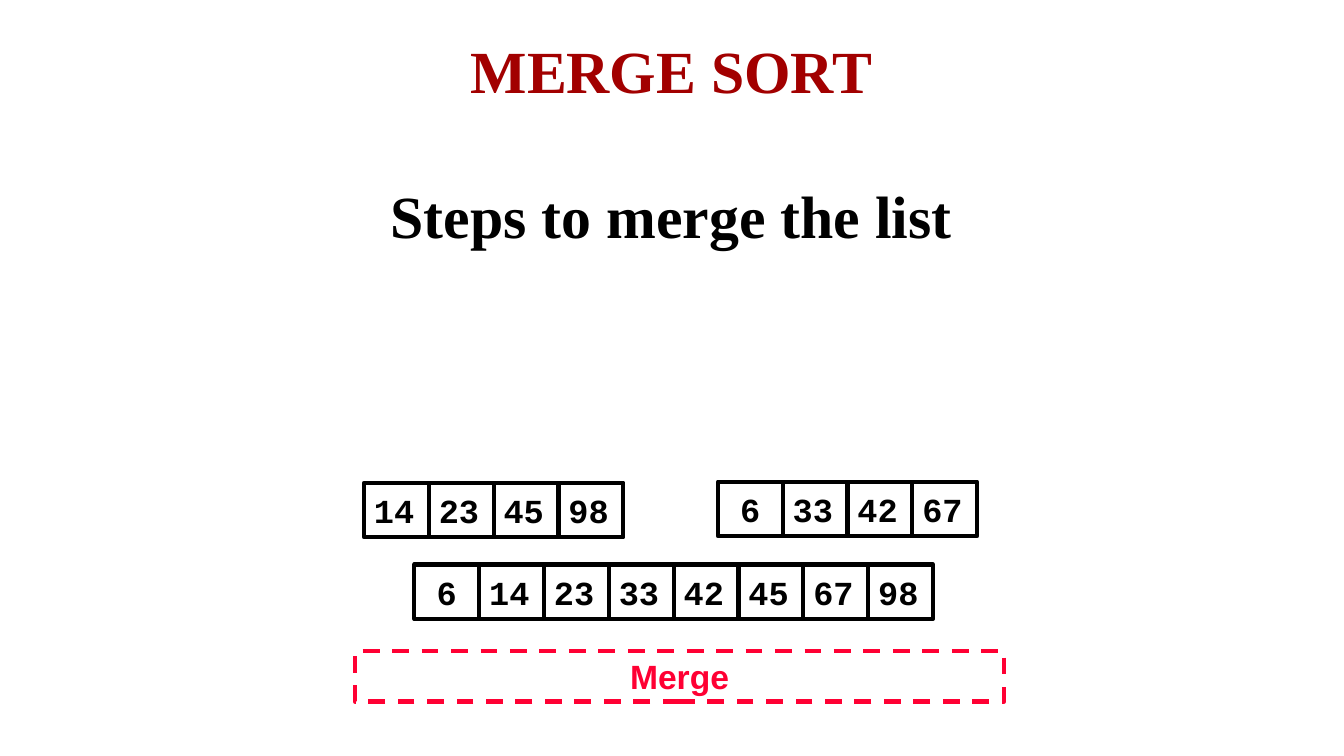
from pptx import Presentation
from pptx.dml.color import RGBColor
from pptx.enum.dml import MSO_LINE
from pptx.enum.shapes import MSO_SHAPE
from pptx.enum.text import MSO_ANCHOR, MSO_AUTO_SIZE, PP_ALIGN
from pptx.util import Inches, Pt

# Content
TITLE = "MERGE SORT"
SUBTITLE = "Steps to merge the list"
STEP = "Merge"
LISTS = [  # left, top, values
    (3.61, 4.79, [14, 23, 45, 98]),
    (7.12, 4.78, [6, 33, 42, 67]),
    (4.11, 5.6, [6, 14, 23, 33, 42, 45, 67, 98]),
]

# Style
BLACK = RGBColor(0x00, 0x00, 0x00)
DARK_RED = RGBColor(0xA2, 0x00, 0x00)
PINK_RED = RGBColor(0xFF, 0x00, 0x33)
CELL_WIDTH, CELL_HEIGHT = 0.643, 0.54


def write(paragraph, text, font="Courier New", size=24, color=BLACK,
          align=PP_ALIGN.CENTER, space_before=0):
    paragraph.alignment = align
    paragraph.line_spacing = 1.0
    paragraph.space_before = Pt(space_before)
    run = paragraph.add_run()
    run.text = text
    run.font.name = font
    run.font.size = Pt(size)
    run.font.bold = True
    run.font.color.rgb = color


def add_box(left, top, width, height, text, color=BLACK, wrap=True, **text_format):
    shape = slide.shapes.add_shape(MSO_SHAPE.RECTANGLE, Inches(left), Inches(top),
                                   Inches(width), Inches(height))
    shape.shadow.inherit = False
    shape.fill.background()
    shape.line.color.rgb = color
    shape.line.width = Pt(3)
    frame = shape.text_frame
    frame.word_wrap = wrap
    frame.vertical_anchor = MSO_ANCHOR.MIDDLE
    write(frame.paragraphs[0], text, color=color, **text_format)
    return shape


presentation = Presentation()
presentation.slide_width = Inches(13.33)
presentation.slide_height = Inches(7.5)
slide = presentation.slides.add_slide(presentation.slide_layouts[5])

# Title and subtitle
title = slide.shapes.title
title.left, title.top = Inches(1.87), Inches(0.2)
title.width, title.height = Inches(9.58), Inches(2.26)
frame = title.text_frame
frame.word_wrap = True
frame.auto_size = MSO_AUTO_SIZE.NONE
frame.vertical_anchor = MSO_ANCHOR.TOP
frame.margin_top = Inches(0.13)
write(frame.paragraphs[0], TITLE, font="Times New Roman", size=42.7, color=DARK_RED)
write(frame.add_paragraph(), SUBTITLE, font="Times New Roman", size=42.7,
      space_before=53)

# Dashed step box
step_box = add_box(3.52, 6.46, 6.44, 0.5, STEP, color=PINK_RED, font="Arial")
step_box.line.dash_style = MSO_LINE.DASH

# Sorted halves and merged list: one-digit values are centred
for left, top, values in LISTS:
    for column, value in enumerate(values):
        align = PP_ALIGN.CENTER if value < 10 else PP_ALIGN.LEFT
        add_box(left + column * CELL_WIDTH, top, CELL_WIDTH, CELL_HEIGHT,
                str(value), wrap=False, align=align)

presentation.save("out.pptx")
